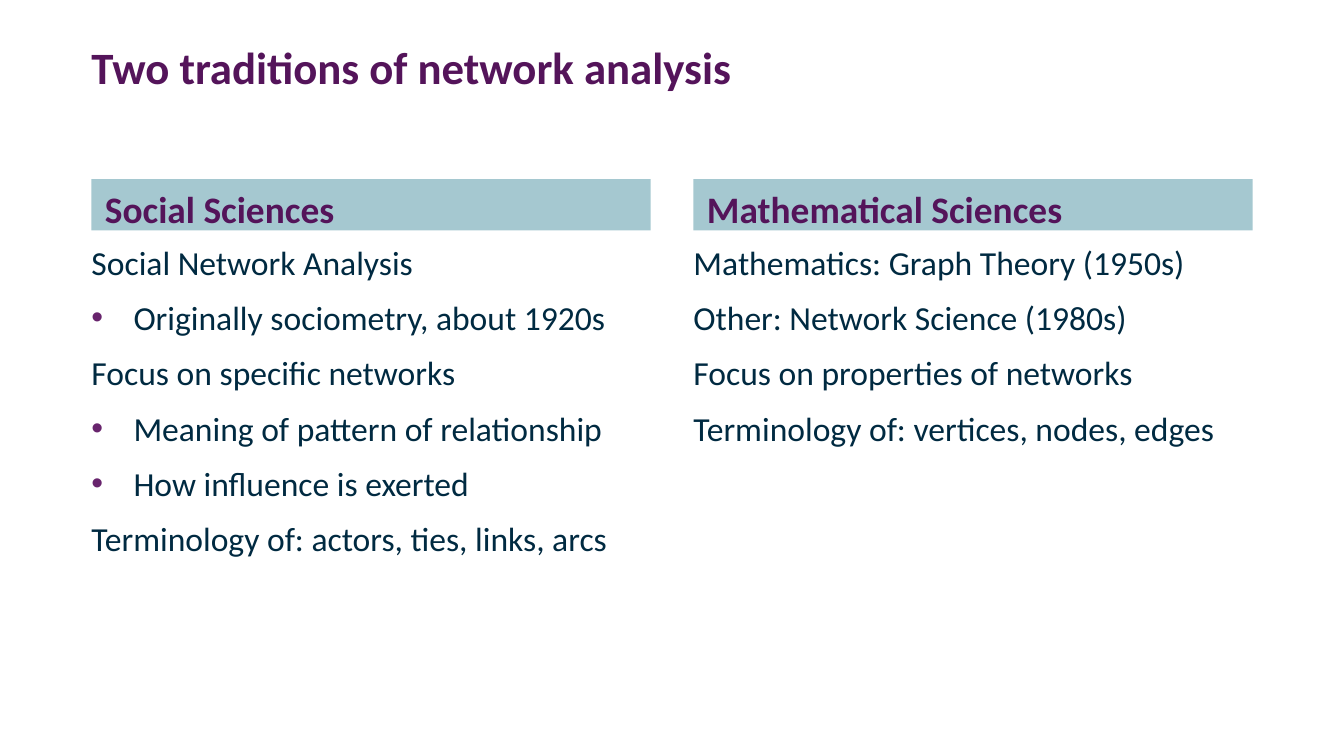
from dataclasses import dataclass

from lxml.etree import SubElement
from pptx import Presentation
from pptx.dml.color import RGBColor
from pptx.enum.text import MSO_ANCHOR, MSO_AUTO_SIZE, PP_ALIGN
from pptx.oxml.ns import qn
from pptx.shapes.placeholder import SlidePlaceholder as Placeholder
from pptx.slide import Slide
from pptx.text.text import TextFrame, _Paragraph as Paragraph
from pptx.util import Pt

COLORS = {"purple": "54145A", "bullet": "68246D", "navy": "002A41", "band": "A5C8D0"}
FONT = "Calibri"
MARGIN = 49
COLUMN_WIDTH = 299.5
COLUMN_STEP = 322.5
BULLET_INDENT = 22.5


@dataclass
class Line:
    text: str
    bulleted: bool = False


@dataclass
class Column:
    heading: str
    lines: list[Line]
    heading_idx: int
    body_idx: int


COLUMNS = [
    Column("Social Sciences", [
        Line("Social Network Analysis"),
        Line("Originally sociometry, about 1920s", bulleted=True),
        Line("Focus on specific networks"),
        Line("Meaning of pattern of relationship", bulleted=True),
        Line("How influence is exerted", bulleted=True),
        Line("Terminology of: actors, ties, links, arcs"),
    ], heading_idx=1, body_idx=2),
    Column("Mathematical Sciences", [
        Line("Mathematics: Graph Theory (1950s)"),
        Line("Other: Network Science (1980s)"),
        Line("Focus on properties of networks"),
        Line("Terminology of: vertices, nodes, edges"),
    ], heading_idx=3, body_idx=4),
]


def place(box: Placeholder, left: float, top: float, width: float, height: float,
          inset_x: float = 0, inset_y: float = 0) -> TextFrame:
    """Move a placeholder and return its top-anchored text frame."""
    box.left, box.top, box.width, box.height = map(Pt, (left, top, width, height))
    frame = box.text_frame
    frame.margin_left = frame.margin_right = Pt(inset_x)
    frame.margin_top = frame.margin_bottom = Pt(inset_y)
    frame.vertical_anchor = MSO_ANCHOR.TOP
    frame.auto_size = MSO_AUTO_SIZE.NONE
    frame.word_wrap = True
    return frame


def set_bullet(para: Paragraph, bulleted: bool) -> None:
    props = para._p.get_or_add_pPr()
    indent = Pt(BULLET_INDENT) if bulleted else 0
    props.set("marL", str(indent))
    props.set("indent", str(-indent))
    if bulleted:
        color = SubElement(props, qn("a:buClr"))
        SubElement(color, qn("a:srgbClr"), val=COLORS["bullet"])
        SubElement(props, qn("a:buFont"), typeface="Arial")
        SubElement(props, qn("a:buChar"), char="•")
    else:
        SubElement(props, qn("a:buNone"))


def write(para: Paragraph, text: str, *, size: float, color: str, bold: bool = False,
          bulleted: bool = False, space_before: float = 0) -> None:
    para.alignment = PP_ALIGN.LEFT
    para.level = int(bulleted)
    para.space_before = Pt(space_before)
    set_bullet(para, bulleted)
    span = para.add_run()
    span.text = text
    span.font.name = FONT
    span.font.size = Pt(size)
    span.font.bold = bold
    span.font.color.rgb = RGBColor.from_string(COLORS[color])


def draw_column(page: Slide, column: Column, left: float) -> None:
    boxes = {box.placeholder_format.idx: box for box in page.placeholders}

    body = place(boxes[column.body_idx], left, 129.5, COLUMN_WIDTH, 196.5)
    for number, line in enumerate(column.lines):
        para = body.add_paragraph() if number else body.paragraphs[0]
        write(para, line.text, size=18, color="navy", bulleted=line.bulleted,
              space_before=8 if number else 0)

    band = boxes[column.heading_idx]
    heading = place(band, left, 96, COLUMN_WIDTH, 27.5, inset_x=7.2, inset_y=3.6)
    band.fill.solid()
    band.fill.fore_color.rgb = RGBColor.from_string(COLORS["band"])
    write(heading.paragraphs[0], column.heading, size=20, color="purple", bold=True)


def main() -> None:
    deck = Presentation()
    deck.slide_width, deck.slide_height = Pt(720), Pt(405)
    page = deck.slides.add_slide(deck.slide_layouts.get_by_name("Comparison"))

    title = place(page.shapes.title, MARGIN, 21.5, 622, 67.5)
    write(title.paragraphs[0], "Two traditions of network analysis",
          size=24, color="purple", bold=True)
    for number, column in enumerate(COLUMNS):
        draw_column(page, column, MARGIN + number * COLUMN_STEP)

    deck.save("out.pptx")


if __name__ == "__main__":
    main()
